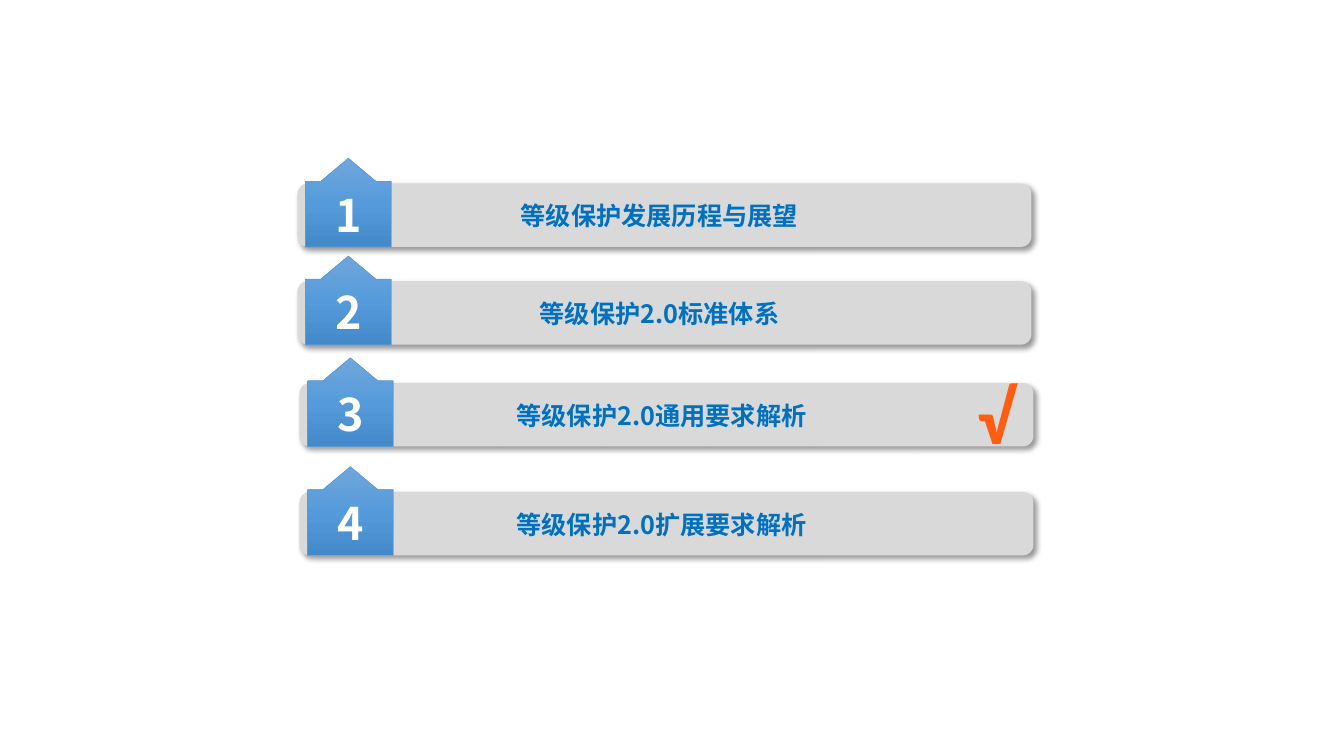
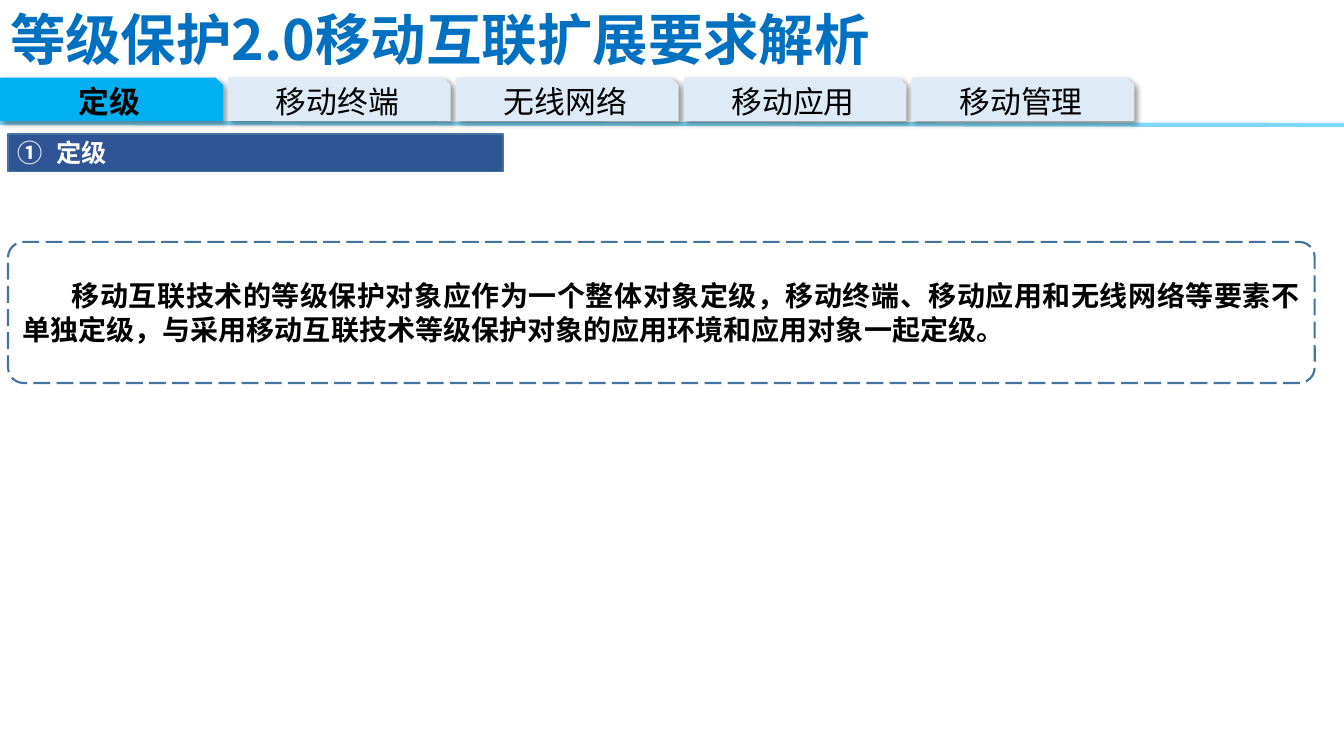
from copy import deepcopy

from lxml import etree
from pptx import Presentation
from pptx import util as u
from pptx.dml.color import RGBColor
from pptx.enum import dml, shapes, text
from pptx.oxml.ns import qn

# Shared style
FONT = "Noto Sans CJK SC"
SYMBOL_FONT = "Calibri"
BLACK = RGBColor(0x00, 0x00, 0x00)
WHITE = RGBColor(0xFF, 0xFF, 0xFF)
TITLE_BLUE = RGBColor(0x00, 0x70, 0xC0)
BAR_GREY = RGBColor(0xD9, 0xD9, 0xD9)
BADGE_LINE = RGBColor(0x5B, 0x9B, 0xD5)
ACTIVE_TAB = RGBColor(0x00, 0xB0, 0xF0)
PLAIN_TAB = RGBColor(0xDE, 0xEB, 0xF7)
BAND_BLUE = RGBColor(0x2F, 0x55, 0x97)
FRAME_BLUE = RGBColor(0x43, 0x73, 0x9E)
BADGE_STOPS = [(0, RGBColor(0x71, 0xA6, 0xDB)), (0.5, RGBColor(0x55, 0x9B, 0xDB)),
               (1, RGBColor(0x44, 0x8A, 0xCA))]
CHECK_STOPS = [(0, RGBColor(0xFF, 0xAC, 0x8E)), (0.75, RGBColor(0xFF, 0x5D, 0x12)),
               (1, RGBColor(0xD4, 0x56, 0x00))]

# Content: left and top of the bar, label
AGENDA = [
    (2.95, 1.82, "等级保护发展历程与展望"),
    (2.95, 2.79, "等级保护2.0标准体系"),
    (2.97, 3.80, "等级保护2.0通用要求解析"),
    (2.97, 4.88, "等级保护2.0扩展要求解析"),
]
TITLE = "等级保护2.0移动互联扩展要求解析"
TABS = ["定级", "移动终端", "无线网络", "移动应用", "移动管理"]
TAB_PITCH = 2.26
STATEMENT = ("移动互联技术的等级保护对象应作为一个整体对象定级，移动终端、移动应用和"
             "无线网络等要素不单独定级，与采用移动互联技术等级保护对象的应用环境和应用"
             "对象一起定级。")


def write(box, words, size, color=BLACK, bold=True, font=FONT,
          align=text.PP_ALIGN.CENTER, anchor=text.MSO_ANCHOR.MIDDLE):
    """Put one formatted paragraph into a shape; return paragraph and span."""
    frame = box.text_frame
    frame.word_wrap = True
    frame.auto_size = text.MSO_AUTO_SIZE.NONE
    frame.vertical_anchor = anchor
    para = frame.paragraphs[0]
    para.alignment = align
    span = para.add_run()
    span.text = words
    span.font.size = u.Pt(size)
    span.font.bold = bold
    span.font.name = font
    span.font.color.rgb = color
    etree.SubElement(span._r.get_or_add_rPr(), qn("a:ea"), typeface=font)
    return para, span


def add_label(page, left, top, width, height, words, size, **style):
    box = page.shapes.add_textbox(*map(u.Inches, (left, top, width, height)))
    return write(box, words, size, anchor=text.MSO_ANCHOR.TOP, **style)


def add_block(page, kind, left, top, width, height, fill=None, line=None,
              line_width=1, shadow=False):
    box = page.shapes.add_shape(kind, *map(u.Inches, (left, top, width, height)))
    box.shadow.inherit = False
    if fill is None:
        box.fill.background()
    else:
        box.fill.solid()
        box.fill.fore_color.rgb = fill
    if line is None:
        box.line.fill.background()
    else:
        box.line.color.rgb = line
        box.line.width = u.Pt(line_width)
    if shadow:
        add_shadow(box)
    return box


def add_shadow(box):
    effects = box._element.spPr.find(qn("a:effectLst"))
    outer = etree.SubElement(effects, qn("a:outerShdw"), blurRad=str(u.Pt(4)),
                             dist=str(u.Pt(3)), dir="2700000", algn="tl", rotWithShape="0")
    color = etree.SubElement(outer, qn("a:srgbClr"), val="000000")
    etree.SubElement(color, qn("a:alpha"), val="40000")


def set_gradient(fill, element, stops):
    """Fill from top to bottom with the given (position, colour) stops."""
    fill.gradient()
    fill.gradient_angle = 270
    stop_list = element.find(".//" + qn("a:gsLst"))
    while len(stop_list) < len(stops):
        stop_list.append(deepcopy(stop_list[0]))
    for stop, (position, color) in zip(fill.gradient_stops, stops):
        stop.position = position
        stop.color.rgb = color


def add_agenda_row(page, number, left, top, label):
    add_block(page, shapes.MSO_SHAPE.ROUNDED_RECTANGLE, left, top, 7.28, 0.63,
              fill=BAR_GREY, shadow=True)
    badge = add_block(page, shapes.MSO_SHAPE.UP_ARROW_CALLOUT, left + 0.08, top - 0.25,
                      0.85, 0.88, line=BADGE_LINE, line_width=0.5)
    for index, value in enumerate((1.61, 0.32, 0.27, 0.81)):
        badge.adjustments[index] = value
    set_gradient(badge.fill, badge._element.spPr, BADGE_STOPS)
    write(badge, str(number), 32, color=WHITE)
    add_label(page, left + 0.95, top + 0.12, 5.28, 0.4, label, 18, color=TITLE_BLUE)


def add_title(page, words):
    title = page.shapes.title
    title.left, title.top, title.width, title.height = map(u.Inches, (0, 0.01, 9.45, 0.75))
    write(title, words, 39.6, color=TITLE_BLUE, align=text.PP_ALIGN.JUSTIFY)


def add_rule(page):
    rule = page.shapes.add_connector(shapes.MSO_CONNECTOR.STRAIGHT, u.Inches(0),
                                     u.Inches(1.22), u.Inches(13.33), u.Inches(1.24))
    rule.line.width = u.Pt(3)
    rule.line.color.rgb = ACTIVE_TAB
    properties = rule._element.spPr
    color = properties.find(".//" + qn("a:srgbClr"))
    etree.SubElement(color, qn("a:alpha"), val="50000")
    etree.SubElement(properties, qn("a:effectLst"))


def add_tabs(page, active):
    for index, label in enumerate(TABS):
        chosen = label == active
        tab = add_block(page, shapes.MSO_SHAPE.SNIP_1_RECTANGLE, index * TAB_PITCH, 0.77,
                        2.21, 0.43, fill=ACTIVE_TAB if chosen else PLAIN_TAB, shadow=True)
        write(tab, label, 22, bold=chosen)


def add_numbered_band(page, label):
    band = add_block(page, shapes.MSO_SHAPE.RECTANGLE, 0.08, 1.33, 4.91, 0.37,
                     fill=BAND_BLUE, line=FRAME_BLUE)
    para, _ = write(band, label, 18, color=WHITE, align=text.PP_ALIGN.JUSTIFY)
    properties = para._p.get_or_add_pPr()
    properties.set("marL", str(u.Inches(0.38)))
    properties.set("indent", str(u.Inches(-0.38)))
    etree.SubElement(properties, qn("a:buAutoNum"), type="circleNumDbPlain")


def add_statement(page, words):
    frame = add_block(page, shapes.MSO_SHAPE.ROUNDED_RECTANGLE, 0.08, 2.4, 12.96, 1.4,
                      line=FRAME_BLUE, line_width=1.5)
    frame.adjustments[0] = 0.11
    frame.line.dash_style = dml.MSO_LINE.LONG_DASH
    para, _ = write(frame, words, 20, align=text.PP_ALIGN.JUSTIFY)
    para.space_after = u.Pt(6)
    para._p.get_or_add_pPr().set("indent", str(u.Inches(0.49)))


def build_agenda(deck):
    page = deck.slides.add_slide(deck.slide_layouts[6])
    for number, (left, top, label) in enumerate(AGENDA, start=1):
        add_agenda_row(page, number, left, top, label)
    # Mark of the current chapter
    _, span = add_label(page, 9.49, 3.61, 0.78, 1.01, "√", 54, font=SYMBOL_FONT)
    set_gradient(span.font.fill, span._r, CHECK_STOPS)


def build_grading(deck):
    page = deck.slides.add_slide(deck.slide_layouts[5])
    add_rule(page)
    add_title(page, TITLE)
    add_tabs(page, TABS[0])
    add_numbered_band(page, TABS[0])
    add_statement(page, STATEMENT)


def main():
    deck = Presentation()
    deck.slide_width, deck.slide_height = u.Inches(13.33), u.Inches(7.5)
    build_agenda(deck)
    build_grading(deck)
    deck.save("out.pptx")


if __name__ == "__main__":
    main()
